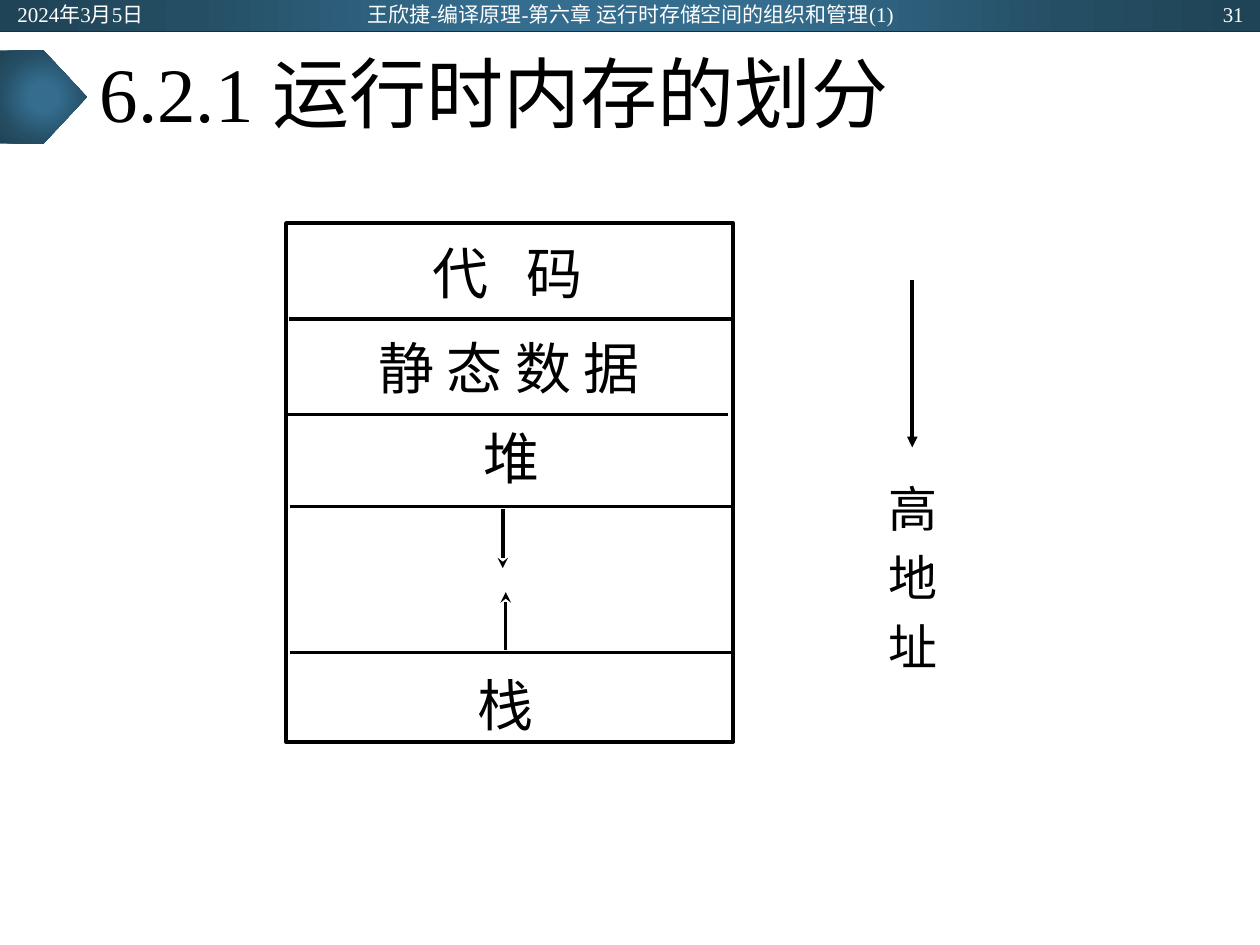
"""Builds the slide on how memory is divided at run time."""
from lxml.etree import SubElement
from pptx import Presentation
from pptx.dml.color import RGBColor
from pptx.enum.shapes import MSO_CONNECTOR, MSO_SHAPE
from pptx.enum.text import MSO_ANCHOR, PP_ALIGN
from pptx.oxml import parse_xml
from pptx.oxml.ns import nsdecls, qn
from pptx.util import Pt

SERIF, SANS = "Times New Roman", "Noto Sans CJK SC"
BLACK, WHITE = "000000", "FFFFFF"
STOPS = [(0, "346D8E"), (23, "346D8E"), (69, "254E64"), (97, "204457")]


def add_line(x1, y1, x2, y2, color=BLACK, width=2, arrow=None):
    """Draw a straight line, with an arrowhead at its end if one is named."""
    line = slide.shapes.add_connector(
        MSO_CONNECTOR.STRAIGHT, Pt(x1), Pt(y1), Pt(x2), Pt(y2))
    line.line.color.rgb = RGBColor.from_string(color)
    line.line.width = Pt(width)
    if arrow:
        SubElement(line.line._get_or_add_ln(), qn("a:tailEnd"), type=arrow)
    SubElement(line._element.spPr, qn("a:effectLst"))


def add_text(lines, left, top, width, height, size, align, font=SERIF,
             color=BLACK, anchor=MSO_ANCHOR.TOP, inset_top=3.6, wrap=True):
    """Add a text box with one paragraph for each line."""
    frame = slide.shapes.add_textbox(
        Pt(left), Pt(top), Pt(width), Pt(height)).text_frame
    frame.word_wrap = wrap
    frame.vertical_anchor = anchor
    frame.margin_top = Pt(inset_top)
    frame.text = "\n".join(lines)
    for number, paragraph in enumerate(frame.paragraphs):
        paragraph.alignment = align
        paragraph.font.name = font
        paragraph.font.size = Pt(size)
        paragraph.font.color.rgb = RGBColor.from_string(color)
        if number:
            paragraph.space_before = Pt(size * 0.2)


presentation = Presentation()
presentation.slide_width, presentation.slide_height = Pt(720), Pt(540)
slide = presentation.slides.add_slide(presentation.slide_layouts[5])

stops = "".join(f'<a:gs pos="{position * 1000}"><a:srgbClr val="{color}"/></a:gs>'
                for position, color in STOPS)
for kind, top, width, height in [(MSO_SHAPE.RECTANGLE, 0, 720, 18),
                                 (MSO_SHAPE.PENTAGON, 28.8, 49.7, 53.3)]:
    shape = slide.shapes.add_shape(kind, 0, Pt(top), Pt(width), Pt(height))
    shape.shadow.inherit = False
    shape.line.fill.background()
    shape._element.spPr.find(qn("a:prstGeom")).addnext(parse_xml(
        f'<a:gradFill {nsdecls("a")}><a:gsLst>{stops}</a:gsLst><a:path path="circle">'
        '<a:fillToRect l="50000" t="50000" r="50000" b="50000"/></a:path></a:gradFill>'))
add_line(0, 18, 720, 18, "222A35", 0.5)

title = slide.shapes.title
title.left, title.top, title.width, title.height = Pt(49.7), Pt(18), Pt(620.6), Pt(75)
title.text_frame.text = "6.2.1 运行时内存的划分"
title.text_frame.vertical_anchor = MSO_ANCHOR.MIDDLE
paragraph = title.text_frame.paragraphs[0]
paragraph.alignment = PP_ALIGN.LEFT
paragraph.line_spacing = 0.9
paragraph.font.name = SERIF
paragraph.font.size = Pt(44)
paragraph.font.color.rgb = RGBColor.from_string(BLACK)

memory = slide.shapes.add_shape(
    MSO_SHAPE.RECTANGLE, Pt(163.4), Pt(127.4), Pt(255.6), Pt(296.6))
memory.shadow.inherit = False
memory.fill.background()
memory.line.color.rgb = RGBColor.from_string(BLACK)
memory.line.width = Pt(2)

for label, left, top, font in [("代   码", 168.5, 129.6, SANS),
                               ("静 态 数 据", 169.2, 184.3, SANS),
                               ("堆", 170.6, 235.4, SERIF),
                               ("栈", 167, 376.6, SERIF)]:
    add_text([label], left, top, 243.4, 46.8, 32, PP_ALIGN.CENTER, font, inset_top=6.5)

for left, right, y in [(165, 417.6, 182.2), (162.2, 416.2, 236.9),
                       (165.6, 419, 289.4), (165.6, 419, 373)]:
    add_line(left, y, right, y)

add_line(287.3, 290.9, 287.3, 324.7, arrow="stealth")
add_line(289, 371.5, 289, 338.4, arrow="stealth")
add_line(521.3, 159.8, 521.3, 255.6, arrow="triangle")
add_text("高地址", 500.4, 270, 42.5, 121.7, 28, PP_ALIGN.LEFT, wrap=False)

for text, left, top, width, height, align in [
        ("2024年3月5日", 2.9, 0.7, 162, 14.4, PP_ALIGN.LEFT),
        ("王欣捷-编译原理-第六章 运行时存储空间的组织和管理(1)",
         180.7, -2.2, 359.3, 20.2, PP_ALIGN.CENTER),
        ("31", 555.8, 0.7, 162, 14.4, PP_ALIGN.RIGHT)]:
    add_text([text], left, top, width, height, 12, align, color=WHITE,
             anchor=MSO_ANCHOR.MIDDLE)

presentation.save("out.pptx")
